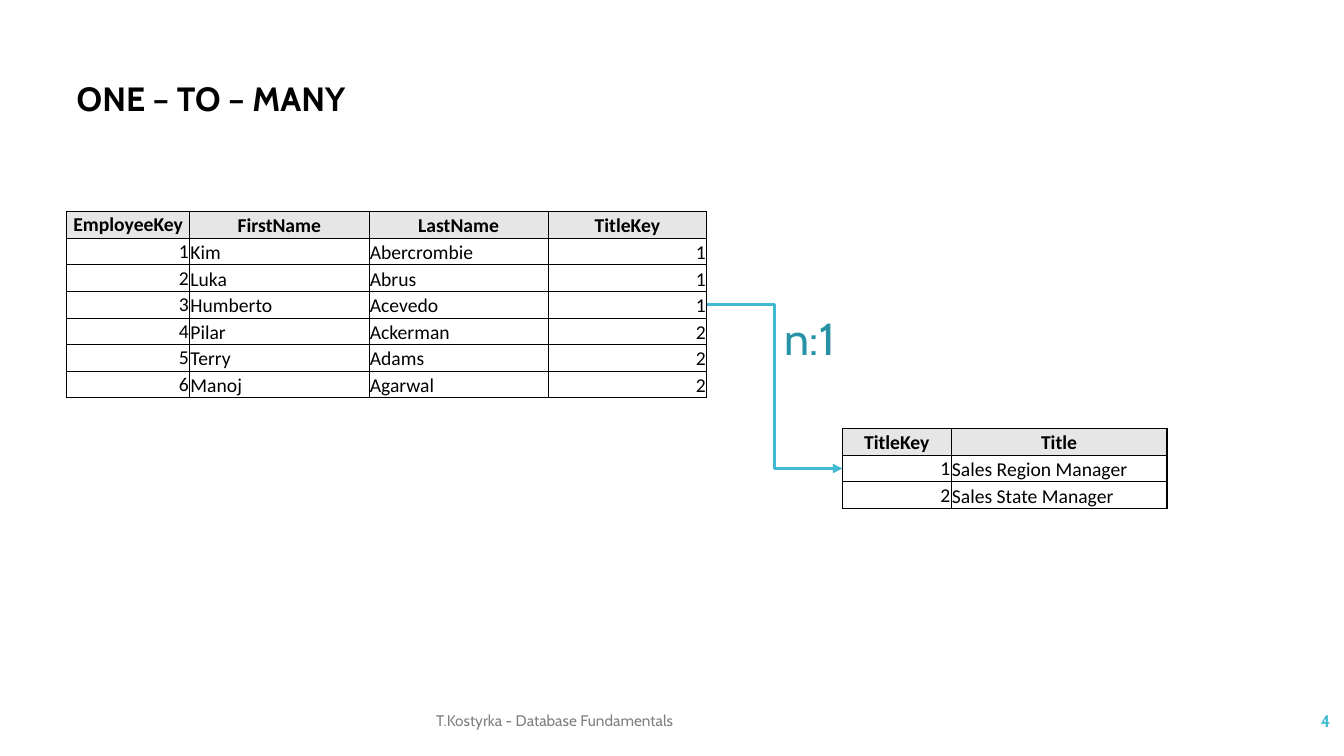
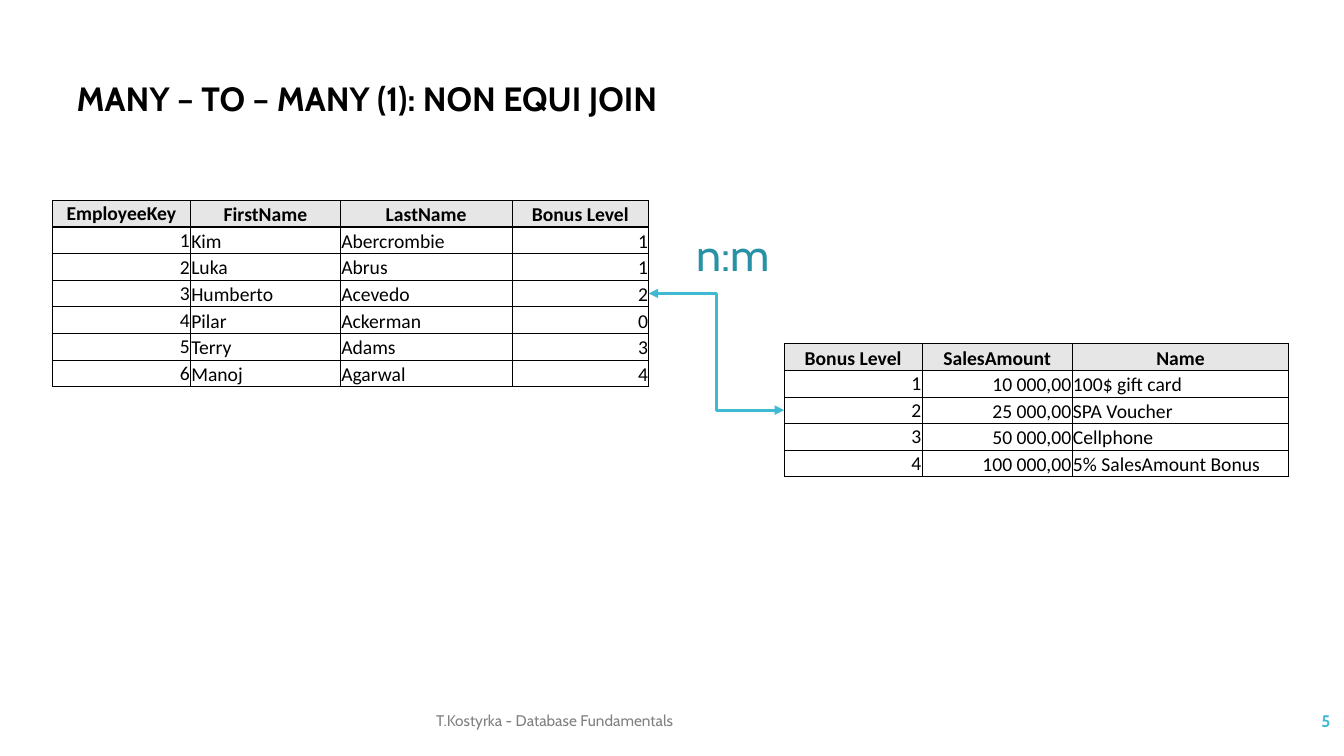
"""Build two slides on table relationships: one-to-many and many-to-many."""
from lxml import etree
from pptx import Presentation
from pptx.dml.color import RGBColor
from pptx.enum.shapes import MSO_CONNECTOR
from pptx.enum.text import MSO_ANCHOR, MSO_AUTO_SIZE, PP_ALIGN
from pptx.oxml.ns import qn
from pptx.util import Cm, Pt

ELBOW = MSO_CONNECTOR.ELBOW
TOP, MIDDLE, BOTTOM = MSO_ANCHOR.TOP, MSO_ANCHOR.MIDDLE, MSO_ANCHOR.BOTTOM
LEFT, CENTER, RIGHT, JUSTIFY = PP_ALIGN.LEFT, PP_ALIGN.CENTER, PP_ALIGN.RIGHT, PP_ALIGN.JUSTIFY
NO_AUTOFIT = MSO_AUTO_SIZE.NONE

COLORS = {
    "text": "000000",
    "header": "E7E6E6",
    "accent": "40BAD2",
    "ratio": "2791A6",
    "footer": "808080",
}
HEADING_FONT, TABLE_FONT = "Cabin", "Calibri"
FOOTER = "T.Kostyrka - Database Fundamentals"
FIRST_NUMBER = 4
ROW_HEIGHT = 0.67
CELL_INSET = 0.02
THICK, THIN = 1, 0.5

EMPLOYEES = [
    ("Kim", "Abercrombie"),
    ("Luka", "Abrus"),
    ("Humberto", "Acevedo"),
    ("Pilar", "Ackerman"),
    ("Terry", "Adams"),
    ("Manoj", "Agarwal"),
]


def employee_rows(last_header, last_values):
    """Return the employee table with its own last column."""
    rows = [("EmployeeKey", "FirstName", "LastName", last_header)]
    for key, (names, value) in enumerate(zip(EMPLOYEES, last_values), start=1):
        rows.append((str(key), *names, value))
    return rows


SLIDES = [
    {
        "title": "ONE – TO – MANY",
        "tables": [
            {
                "at": (1.68, 5.33),
                "widths": (3.1, 4.52, 4.52, 3.99),
                "aligns": (RIGHT, LEFT, LEFT, RIGHT),
                "key_header_anchor": MIDDLE,
                "rows": employee_rows("TitleKey", "111222"),
            },
            {
                "at": (21.23, 10.8),
                "widths": (2.74, 5.44),
                "aligns": (RIGHT, LEFT),
                "key_header_anchor": MIDDLE,
                "rows": [
                    ("TitleKey", "Title"),
                    ("1", "Sales Region Manager"),
                    ("2", "Sales State Manager"),
                ],
            },
        ],
        "arrowheads": ("tailEnd",),
        "ratio": "n:1",
        "ratio_at": (19.53, 7.7),
    },
    {
        "title": "MANY – TO – MANY (1): NON EQUI JOIN",
        "tables": [
            {
                "at": (1.32, 5.05),
                "widths": (3.48, 3.78, 4.32, 3.45),
                "aligns": (RIGHT, LEFT, LEFT, RIGHT),
                "key_header_anchor": MIDDLE,
                "rows": employee_rows("Bonus Level", "112034"),
            },
            {
                "at": (19.76, 8.66),
                "widths": (3.48, 3.78, 5.46),
                "aligns": (RIGHT, RIGHT, LEFT),
                "key_header_anchor": BOTTOM,
                "rows": [
                    ("Bonus Level", "SalesAmount", "Name"),
                    ("1", "10 000,00", "100$ gift card"),
                    ("2", "25 000,00", "SPA Voucher"),
                    ("3", "50 000,00", "Cellphone"),
                    ("4", "100 000,00", "5% SalesAmount Bonus"),
                ],
            },
        ],
        "arrowheads": ("headEnd", "tailEnd"),
        "ratio": "n:m",
        "ratio_at": (17.3, 5.59),
    },
]


def write(text_frame, text, size, color, font=HEADING_FONT, bold=False, align=LEFT):
    """Write one formatted run into the first paragraph."""
    paragraph = text_frame.paragraphs[0]
    paragraph.alignment = align
    run = paragraph.add_run()
    run.text = text
    run.font.name = font
    run.font.size = Pt(size)
    run.font.bold = bold
    run.font.color.rgb = RGBColor.from_string(COLORS[color])


def place(shape, box, anchor):
    """Position a text shape, given in centimetres, and anchor its text."""
    shape.left, shape.top, shape.width, shape.height = map(Cm, box)
    text_frame = shape.text_frame
    text_frame.word_wrap = True
    text_frame.auto_size = NO_AUTOFIT
    text_frame.vertical_anchor = anchor
    return text_frame


def add_text(slide, box, text, size, color, anchor=MIDDLE, **style):
    """Add a text box holding one run."""
    shape = slide.shapes.add_textbox(*map(Cm, box))
    write(place(shape, box, anchor), text, size, color, **style)


def set_borders(cell, widths):
    """Draw the left, right, top and bottom borders of a cell."""
    properties = cell._tc.get_or_add_tcPr()
    for side, width in zip("LRTB", widths):
        line = etree.SubElement(properties, qn(f"a:ln{side}"), w=str(Pt(width)))
        fill = etree.SubElement(line, qn("a:solidFill"))
        etree.SubElement(fill, qn("a:srgbClr"), val=COLORS["text"])


def add_data_table(slide, data):
    """Add a table with a thick frame and header rule."""
    rows, widths = data["rows"], data["widths"]
    last_row, last_column = len(rows) - 1, len(widths) - 1
    left, top = data["at"]
    frame = slide.shapes.add_table(
        len(rows), len(widths), Cm(left), Cm(top), Cm(sum(widths)), Cm(ROW_HEIGHT * len(rows))
    )
    table = frame.table
    table.first_row = table.horz_banding = False
    for column, width in zip(table.columns, widths):
        column.width = Cm(width)
    for row_index, values in enumerate(rows):
        table.rows[row_index].height = Cm(ROW_HEIGHT)
        header = row_index == 0
        for column_index, value in enumerate(values):
            cell = table.cell(row_index, column_index)
            cell.margin_left = cell.margin_right = cell.margin_top = Cm(CELL_INSET)
            cell.margin_bottom = 0
            key_anchor = data["key_header_anchor"] if header else MIDDLE
            cell.vertical_anchor = BOTTOM if column_index else key_anchor
            thick_sides = (
                column_index == 0,
                column_index == last_column,
                row_index <= 1,
                row_index in (0, last_row),
            )
            set_borders(cell, [THICK if thick else THIN for thick in thick_sides])
            if header:
                cell.fill.solid()
                cell.fill.fore_color.rgb = RGBColor.from_string(COLORS["header"])
            else:
                cell.fill.background()
            align = CENTER if header else data["aligns"][column_index]
            write(cell.text_frame, value, 14, "text", TABLE_FONT, header, align)
    return frame


def join_tables(slide, source, target, arrowheads):
    """Join the facing sides of two tables with an elbow connector."""
    connector = slide.shapes.add_connector(
        ELBOW,
        source.left + source.width,
        source.top + source.height // 2,
        target.left,
        target.top + target.height // 2,
    )
    connector.line.color.rgb = RGBColor.from_string(COLORS["accent"])
    connector.line.width = Pt(2.25)
    line = connector.line._get_or_add_ln()
    for end in arrowheads:
        etree.SubElement(line, qn(f"a:{end}"), type="triangle")
    etree.SubElement(connector._element.spPr, qn("a:effectLst"))


def add_relationship_slide(presentation, number, content):
    """Add one slide with its title, footer, tables and relationship."""
    slide = presentation.slides.add_slide(presentation.slide_layouts[5])
    title = place(slide.shapes.title, (1.68, 1.83, 27.76, 1.27), TOP)
    write(title, content["title"], 24, "text", bold=True, align=JUSTIFY)
    add_text(slide, (29.54, 17.65, 4.24, 1.02), str(number), 12, "accent", bold=True, align=RIGHT)
    add_text(slide, (10.74, 17.65, 16.41, 1.02), FOOTER, 11, "footer")
    source, target = [add_data_table(slide, data) for data in content["tables"]]
    join_tables(slide, source, target, content["arrowheads"])
    add_text(slide, (*content["ratio_at"], 4.95, 1.63), content["ratio"], 32, "ratio", anchor=TOP)


def main():
    """Build and save the presentation."""
    presentation = Presentation()
    presentation.slide_width, presentation.slide_height = Cm(33.87), Cm(19.05)
    for number, content in enumerate(SLIDES, start=FIRST_NUMBER):
        add_relationship_slide(presentation, number, content)
    presentation.save("out.pptx")


if __name__ == "__main__":
    main()
